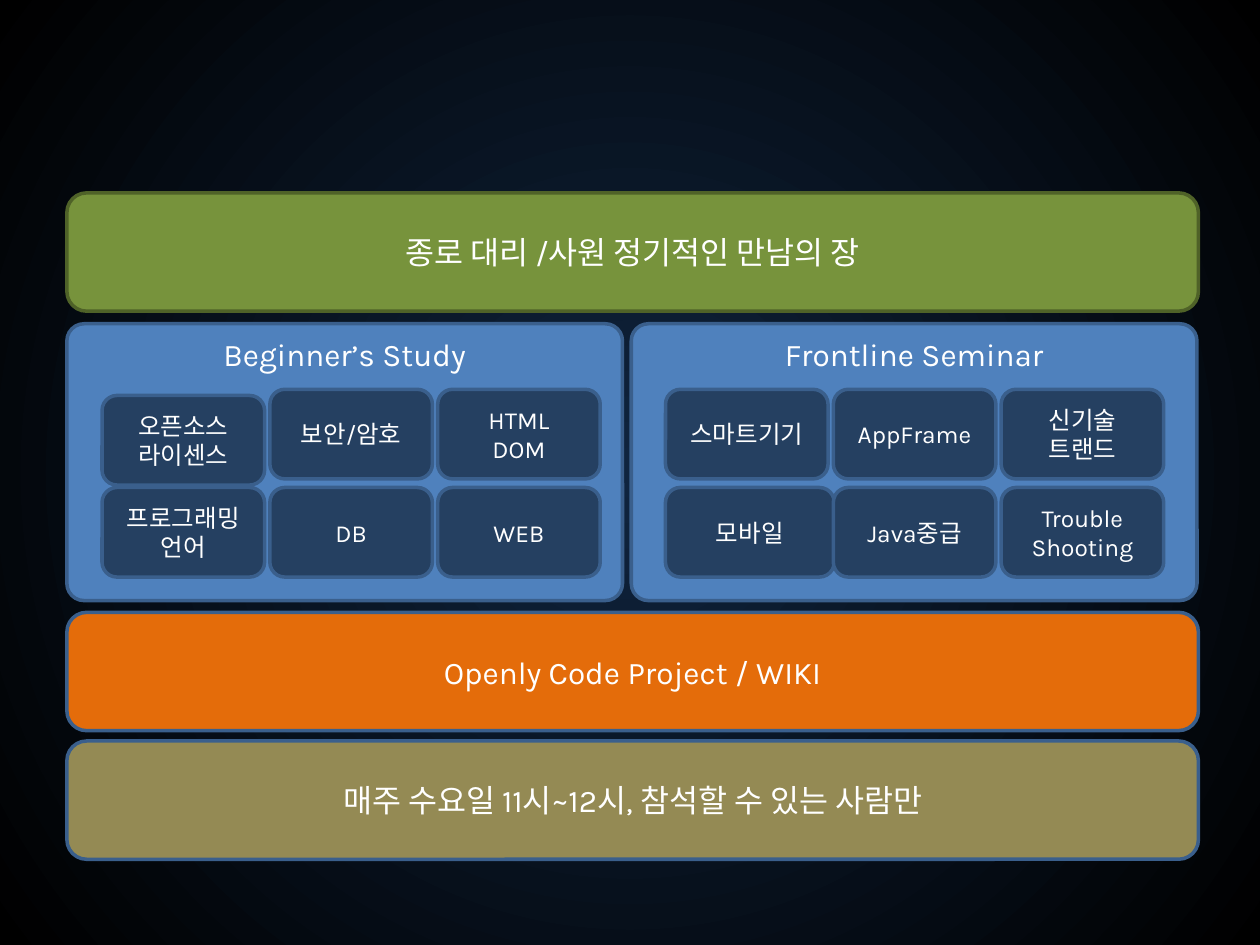
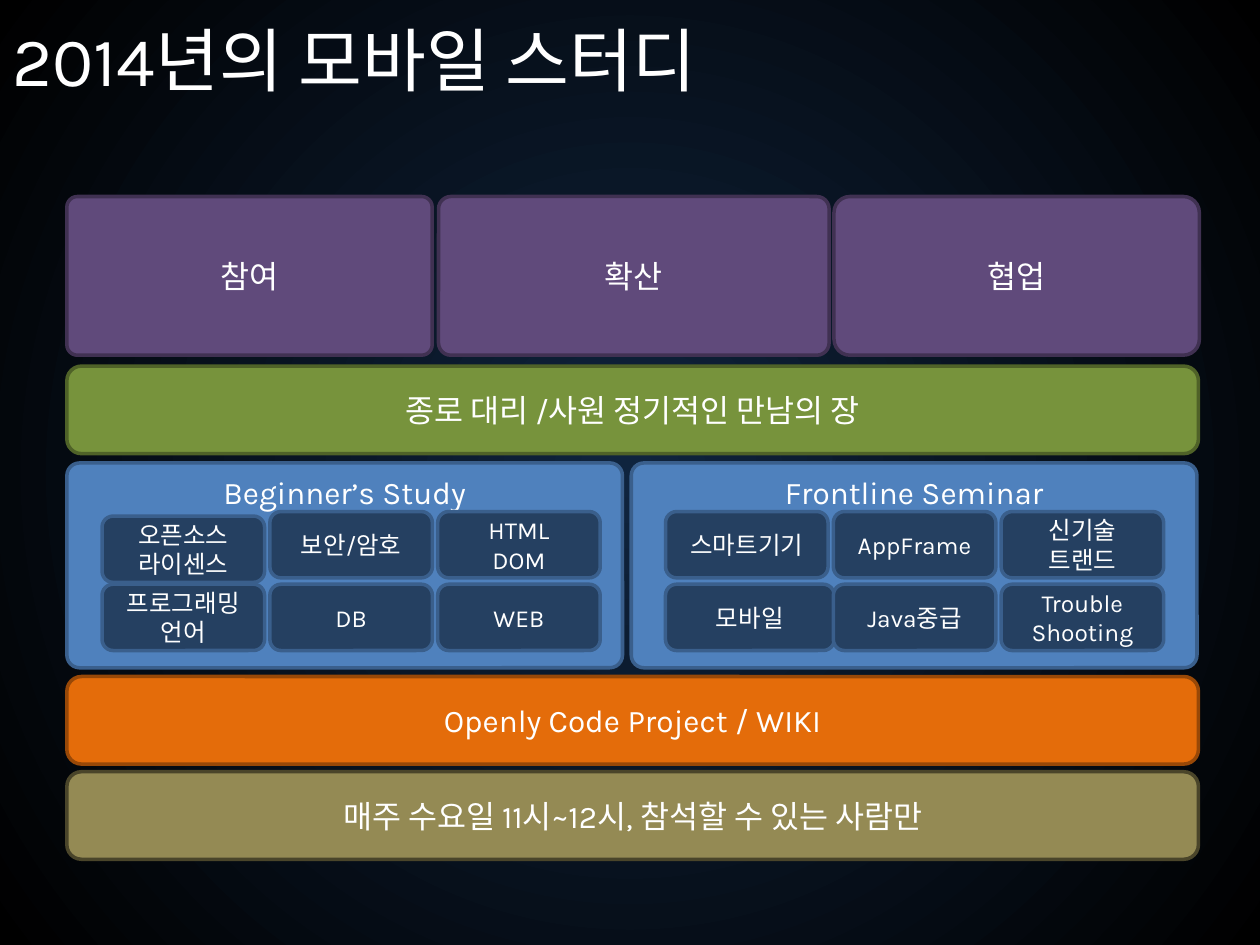
from lxml import etree
from pptx import Presentation
from pptx.dml.color import RGBColor
from pptx.enum.shapes import MSO_SHAPE
from pptx.enum.text import MSO_ANCHOR, MSO_AUTO_SIZE, PP_ALIGN
from pptx.oxml.ns import qn
from pptx.util import Pt

ROUNDED = MSO_SHAPE.ROUNDED_RECTANGLE
TOP, MIDDLE = MSO_ANCHOR.TOP, MSO_ANCHOR.MIDDLE
LEFT, CENTER = PP_ALIGN.LEFT, PP_ALIGN.CENTER
NO_AUTOFIT = MSO_AUTO_SIZE.NONE
TITLE_ONLY, BLANK = 5, 6

FONT = "Karla"
COLORS = {
    "text": "FFFFFF",
    "glow": "0F243E", "night": "000000",
    "goal": "604A7B", "goal_edge": "403152",
    "meeting": "77933C", "meeting_edge": "4F6228",
    "panel": "4F81BD", "cell": "254061", "blue_edge": "3A5F8C",
    "wiki": "E46C0A", "wiki_edge": "984807",
    "schedule": "948A54", "schedule_edge": "4A452A",
}

SLIDE_WIDTH, SLIDE_HEIGHT = 720, 540
STACK_LEFT, STACK_WIDTH, STACK_BOTTOM = 38.2, 646.6, 491
MEETING_TOP, PANEL_TOP, WIKI_TOP, SCHEDULE_TOP = 110.2, 185, 349.9, 423.4
BAND_HEIGHT, PANEL_HEIGHT = 67.6, 158.2
CELL_WIDTH, CELL_HEIGHT, CELL_STEP = 92.9, 51.2, 95.9
CELL_ROW_TOPS = (222.5, 278.6)
ROUNDING = 0.167
PANEL_ROUNDING = 0.062

# Heading, panel left, panel width, left of the cell grid, rows of topics
PANELS = [
    ("Beginner’s Study", 38.2, 317.5, 58.3,
     [["오픈소스\n라이센스", "보안/암호", "HTML\nDOM"],
      ["프로그래밍언어", "DB", "WEB"]]),
    ("Frontline Seminar", 360.7, 323.3, 380.3,
     [["스마트기기", "AppFrame", "신기술\n트랜드"],
      ["모바일", "Java중급", "Trouble\nShooting"]]),
]
# Topics whose cell sits lower or is wider than the grid
CELL_DROP = {"오픈소스\n라이센스": 3.5}
CELL_EXTRA_WIDTH = {"모바일": 3.6}

# Text, left, width, corner rounding
GOALS = [
    ("참여", 38.2, 208.8, 0.067),
    ("확산", 250.6, 223.2, 0.078),
    ("협업", 476.6, 208.8, 0.101),
]
GOAL_TOP, GOAL_HEIGHT = 112.3, 90.7


def color(name):
    return RGBColor.from_string(COLORS[name])


def write(frame, text, size, align):
    """Fill a text frame with one paragraph for each line of text."""
    frame.word_wrap = True
    for number, line in enumerate(text.split("\n")):
        para = frame.add_paragraph() if number else frame.paragraphs[0]
        para.alignment = align
        span = para.add_run()
        span.text = line
        span.font.name = FONT
        span.font.size = Pt(size)
        span.font.color.rgb = color("text")


def set_glow_background(master):
    """Give every slide a gradient that spreads from the centre."""
    fill = master.background.fill
    fill.gradient()
    for stop, name in zip(fill.gradient_stops, ("glow", "night")):
        stop.color.rgb = color(name)
    linear = master.element.find(".//" + qn("p:bg")).find(".//" + qn("a:lin"))
    circle = etree.Element(qn("a:path"), {"path": "circle"})
    sides = dict.fromkeys("ltrb", "50000")
    etree.SubElement(circle, qn("a:fillToRect"), sides)
    linear.getparent().replace(linear, circle)


def add_title(page, text):
    title = page.shapes.title
    title.left, title.top = Pt(0), Pt(6.5)
    title.width, title.height = Pt(SLIDE_WIDTH), Pt(54)
    frame = title.text_frame
    frame.auto_size = NO_AUTOFIT
    frame.vertical_anchor = MIDDLE
    write(frame, text, 39.6, LEFT)


def add_box(page, text, place, fill, edge, size=18, anchor=MIDDLE,
            rounding=ROUNDING):
    box = page.shapes.add_shape(ROUNDED, *(Pt(length) for length in place))
    box.adjustments[0] = rounding
    box.shadow.inherit = False
    box.fill.solid()
    box.fill.fore_color.rgb = color(fill)
    box.line.color.rgb = color(edge)
    box.line.width = Pt(2)
    box.text_frame.vertical_anchor = anchor
    write(box.text_frame, text, size, CENTER)


def add_goals(page):
    for text, left, width, rounding in GOALS:
        add_box(page, text, (left, GOAL_TOP, width, GOAL_HEIGHT),
                "goal", "goal_edge", rounding=rounding)


def add_study_stack(page, scale=1, schedule_edge="blue_edge",
                    wiki_edge="blue_edge"):
    """Draw the bands and panels, squeezed by scale towards their bottom."""
    def place(left, top, width, height):
        top = STACK_BOTTOM - (STACK_BOTTOM - top) * scale
        return left, top, width, height * scale

    bands = [
        ("매주 수요일 11시~12시, 참석할 수 있는 사람만",
         SCHEDULE_TOP, "schedule", schedule_edge),
        ("Openly Code Project / WIKI", WIKI_TOP, "wiki", wiki_edge),
        ("종로 대리 /사원 정기적인 만남의 장",
         MEETING_TOP, "meeting", "meeting_edge"),
    ]
    for text, top, fill, edge in bands:
        add_box(page, text, place(STACK_LEFT, top, STACK_WIDTH, BAND_HEIGHT),
                fill, edge)

    for heading, left, width, grid_left, rows in PANELS:
        add_box(page, heading, place(left, PANEL_TOP, width, PANEL_HEIGHT),
                "panel", "blue_edge", anchor=TOP, rounding=PANEL_ROUNDING)
        for row_top, topics in reversed(list(zip(CELL_ROW_TOPS, rows))):
            for column, topic in enumerate(topics):
                cell = place(grid_left + column * CELL_STEP,
                             row_top + CELL_DROP.get(topic, 0),
                             CELL_WIDTH + CELL_EXTRA_WIDTH.get(topic, 0),
                             CELL_HEIGHT)
                add_box(page, topic, cell, "cell", "blue_edge", size=14)


def main():
    deck = Presentation()
    deck.slide_width, deck.slide_height = Pt(SLIDE_WIDTH), Pt(SLIDE_HEIGHT)
    set_glow_background(deck.slide_master)

    overview = deck.slides.add_slide(deck.slide_layouts[BLANK])
    add_study_stack(overview)

    plan = deck.slides.add_slide(deck.slide_layouts[TITLE_ONLY])
    add_title(plan, "2014년의 모바일 스터디")
    add_goals(plan)
    add_study_stack(plan, scale=0.74, schedule_edge="schedule_edge",
                    wiki_edge="wiki_edge")

    deck.save("out.pptx")


if __name__ == "__main__":
    main()
